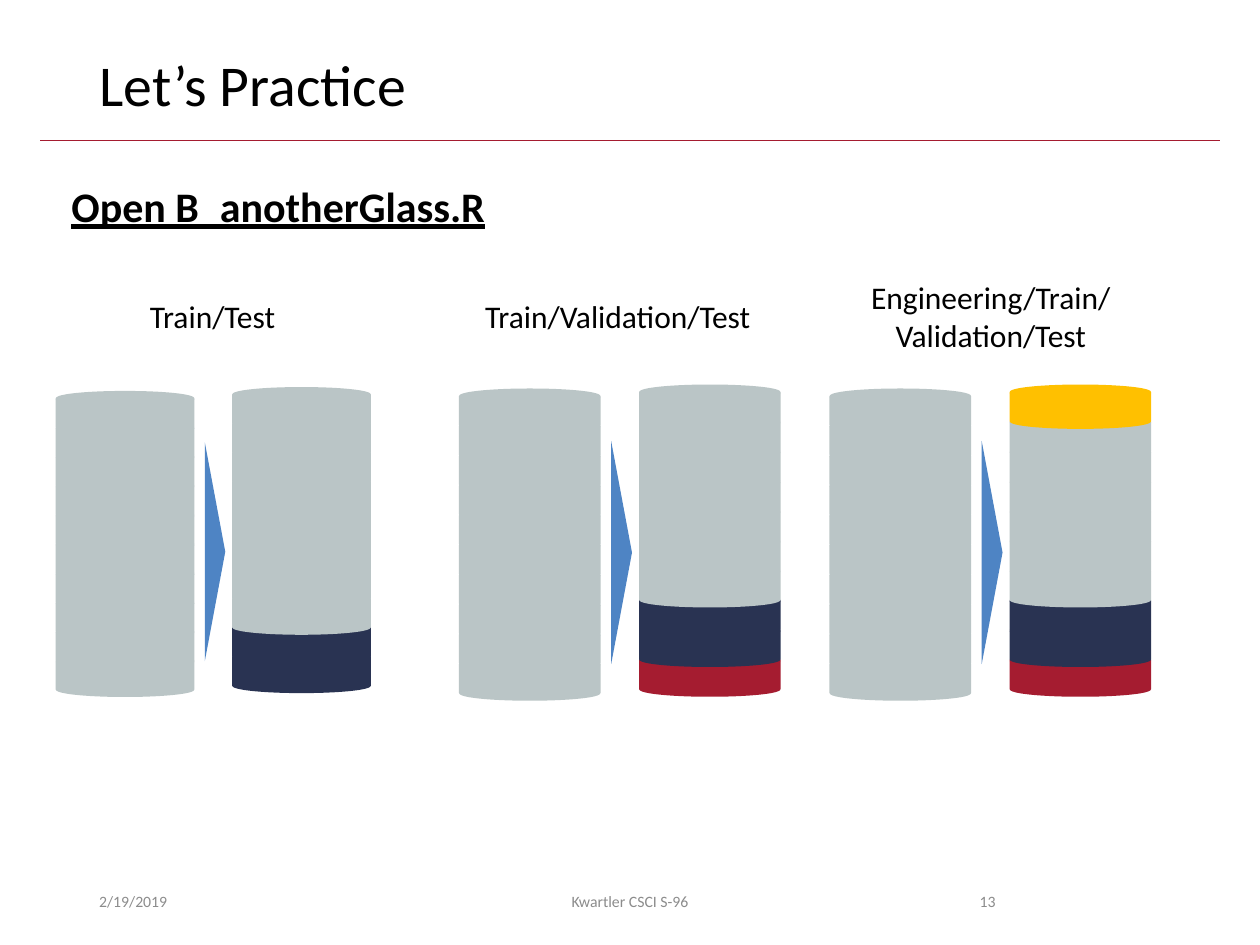
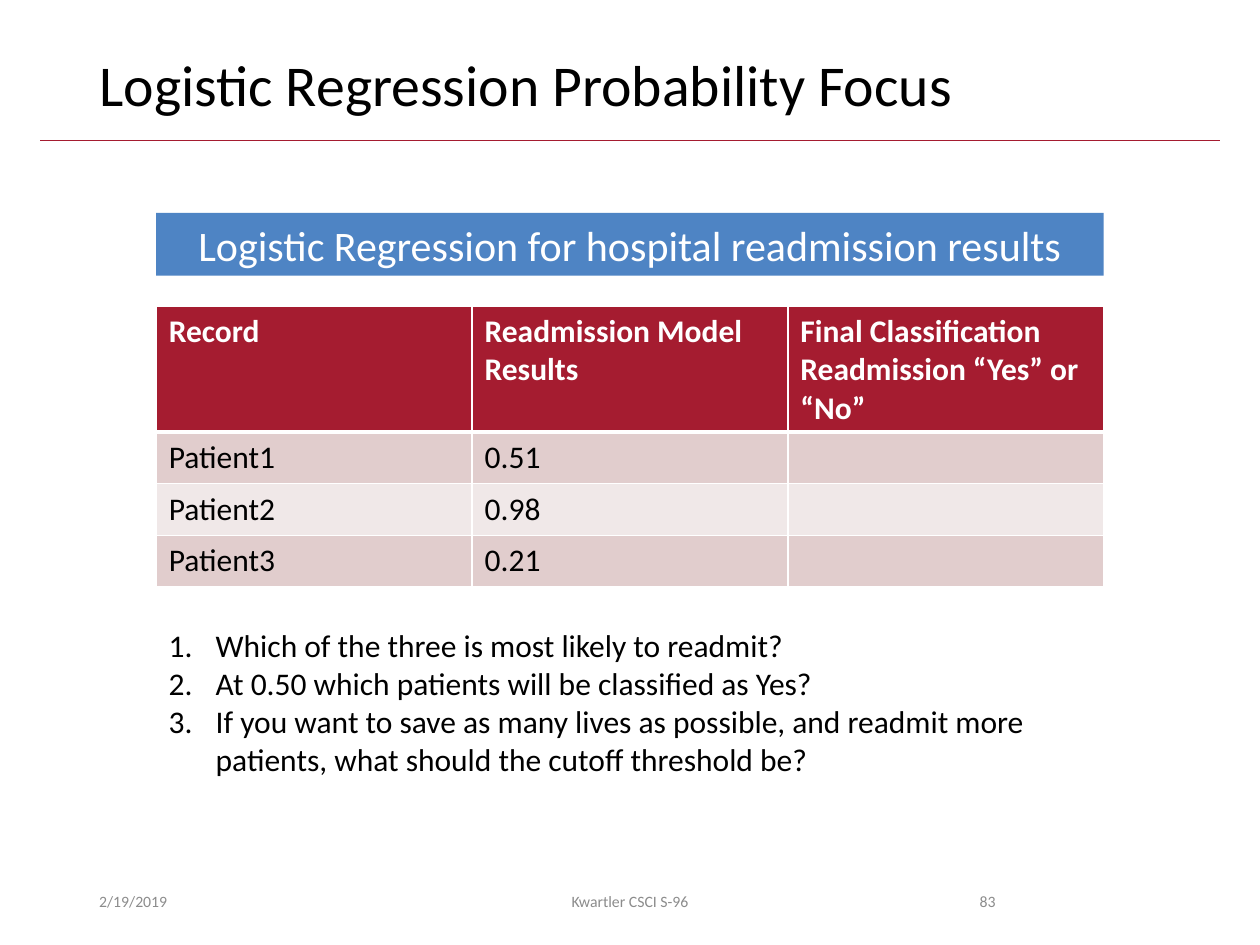
"""Builds two course slides: data partitioning schemes and logistic regression results."""
from lxml.etree import SubElement
from pptx import Presentation
from pptx.dml.color import RGBColor
from pptx.enum.shapes import MSO_CONNECTOR, MSO_SHAPE
from pptx.enum.text import MSO_ANCHOR, MSO_AUTO_SIZE, PP_ALIGN
from pptx.oxml.ns import qn
from pptx.util import Cm, Pt

COLORS = {
    "crimson": "A51C30",
    "navy": "293352",
    "silver": "BAC5C6",
    "gold": "FFC000",
    "blue": "4E84C4",
    "black": "000000",
    "white": "FFFFFF",
    "gray": "8C8C8C",
    "band_dark": "E1CDCD",
    "band_light": "F0E8E8",
}
FONT = "Calibri"
TITLE_ONLY = 5
DATE = "2/19/2019"
COURSE = "Kwartler CSCI S-96"
DISK_WIDTH, DISK_HEIGHT, DISK_STEP = 2.82, 0.86, 0.6
SPLIT_OFFSET, WHOLE_DROP = 3.63, 0.08
ARROW_X, ARROW_Y, ARROW_LENGTH, ARROW_DEPTH = 3.26, 3.37, 4.5, 0.42
CONTENT_LEFT, CONTENT_WIDTH = 3.15, 19.1


def rgb(name):
    return RGBColor.from_string(COLORS[name])


def add_span(para, text, size, color="black", bold=None, underline=None):
    span = para.add_run()
    span.text = text
    font = span.font
    font.name, font.size, font.bold, font.underline = FONT, Pt(size), bold, underline
    font.color.rgb = rgb(color)


def write_lines(frame, lines, size, color="black", align=None, **style):
    for index, line in enumerate(lines):
        para = frame.add_paragraph() if index else frame.paragraphs[0]
        if align is not None:
            para.alignment = align
        add_span(para, line, size, color, **style)


def add_text(page, area, lines, size, wrap=True, anchor=MSO_ANCHOR.TOP, **style):
    box = page.shapes.add_textbox(*map(Cm, area))
    frame = box.text_frame
    frame.word_wrap = wrap
    frame.vertical_anchor = anchor
    write_lines(frame, lines, size, **style)
    return box


def add_filled(shapes, kind, area, color, outlined=False):
    shape = shapes.add_shape(kind, *map(Cm, area))
    shape.shadow.inherit = False
    shape.fill.solid()
    shape.fill.fore_color.rgb = rgb(color)
    if outlined:
        shape.line.color.rgb = rgb(color)
        shape.line.width = Pt(1)
    else:
        shape.line.fill.background()
    return shape


def add_rule(page):
    rule = page.shapes.add_connector(
        MSO_CONNECTOR.STRAIGHT, Cm(0.81), Cm(2.84), Cm(24.59), Cm(2.84))
    rule.line.color.rgb = rgb("crimson")
    rule.line.width = Pt(0.5)
    SubElement(rule._element.spPr, qn("a:effectLst"))


def add_page(deck, title, number):
    page = deck.slides.add_slide(deck.slide_layouts[TITLE_ONLY])
    heading = page.shapes.title
    heading.left, heading.top, heading.width, heading.height = map(
        Cm, (1.75, 1.02, 21.9, 1.65))
    frame = heading.text_frame
    frame.auto_size = MSO_AUTO_SIZE.NONE
    frame.vertical_anchor = MSO_ANCHOR.TOP
    write_lines(frame, [title], 33, align=PP_ALIGN.LEFT)
    frame.paragraphs[0].line_spacing = 0.9
    add_rule(page)
    footers = (
        (DATE, 1.75, 5.72, PP_ALIGN.LEFT),
        (COURSE, 8.41, 8.58, PP_ALIGN.CENTER),
        (number, 17.93, 2.39, PP_ALIGN.RIGHT),
    )
    for text, left, width, align in footers:
        add_text(page, (left, 17.65, width, 1.02), [text], 9,
                 anchor=MSO_ANCHOR.MIDDLE, color="gray", align=align)
    return page


def add_stack(shapes, left, top, scale, colors):
    """Piles disks from the bottom up, with colors listed from the top."""
    for level, color in reversed(list(enumerate(colors))):
        area = (left, top + level * DISK_STEP * scale,
                DISK_WIDTH * scale, DISK_HEIGHT * scale)
        add_filled(shapes, MSO_SHAPE.FLOWCHART_MAGNETIC_DISK, area, color, outlined=True)


def add_partition(page, left, top, scale, split):
    shapes = page.shapes.add_group_shape().shapes
    add_stack(shapes, left, top + WHOLE_DROP * scale, scale, ["silver"] * len(split))
    length, depth = ARROW_LENGTH * scale, ARROW_DEPTH * scale
    area = (left + ARROW_X * scale - length / 2,
            top + ARROW_Y * scale - depth / 2, length, depth)
    arrow = add_filled(shapes, MSO_SHAPE.ISOSCELES_TRIANGLE, area, "blue")
    arrow.rotation = 90
    add_stack(shapes, left + SPLIT_OFFSET * scale, top, scale, split)


def set_borders(cell, top, bottom):
    properties = cell._tc.get_or_add_tcPr()
    for side, points in (("L", 1), ("R", 1), ("T", top), ("B", bottom)):
        border = SubElement(properties, qn(f"a:ln{side}"), w=str(Pt(points)))
        fill = SubElement(border, qn("a:solidFill"))
        SubElement(fill, qn("a:srgbClr"), val=COLORS["white"])


def add_results_table(page, rows):
    row_height = 1.04
    frame = page.shapes.add_table(
        len(rows), len(rows[0]), Cm(CONTENT_LEFT), Cm(6.17),
        Cm(CONTENT_WIDTH), Cm(row_height * len(rows)))
    for r, row in enumerate(rows):
        header = r == 0
        fill = "crimson" if header else ("band_light", "band_dark")[r % 2]
        for c, lines in enumerate(row):
            cell = frame.table.cell(r, c)
            set_borders(cell, 3 if r == 1 else 1, 3 if header else 1)
            cell.fill.solid()
            cell.fill.fore_color.rgb = rgb(fill)
            write_lines(cell.text_frame, lines, 18,
                        "white" if header else "black", bold=header)


def add_numbered_list(page, area, lines):
    box = add_text(page, area, lines, 18)
    for para in box.text_frame.paragraphs:
        properties = para._p.get_or_add_pPr()
        properties.set("marL", str(Cm(0.95)))
        properties.set("indent", str(-Cm(0.95)))
        SubElement(properties, qn("a:buFont"), typeface="+mj-lt")
        SubElement(properties, qn("a:buAutoNum"), type="arabicPeriod")


def build_practice(deck):
    page = add_page(deck, "Let’s Practice", "13")
    train_test = ["silver"] * 8 + ["navy"] * 2
    validation = ["silver"] * 7 + ["navy"] * 2 + ["crimson"]
    engineering = ["gold"] + validation[1:]
    add_partition(page, 1.14, 7.82, 0.98, train_test)
    add_partition(page, 16.74, 7.77, 1, engineering)
    add_partition(page, 9.27, 7.77, 1, validation)
    add_text(page, (2.77, 5.87, 3.07, 1.02), ["Train/Test"], 18, wrap=False)
    add_text(page, (9.53, 5.87, 5.92, 1.02), ["Train/Validation/Test"], 18, wrap=False)
    add_text(page, (17.27, 5.49, 5.41, 1.8), ["Engineering/Train/", "Validation/Test"],
             18, wrap=False, align=PP_ALIGN.CENTER)
    add_text(page, (1.19, 3.51, 8.94, 1.27), ["Open B_anotherGlass.R"], 24,
             wrap=False, bold=True, underline=True)


def build_probability(deck):
    page = add_page(deck, "Logistic Regression Probability Focus", "83")
    banner = add_filled(page.shapes, MSO_SHAPE.RECTANGLE,
                        (CONTENT_LEFT, 4.29, CONTENT_WIDTH, 1.27), "blue")
    banner.text_frame.word_wrap = True
    write_lines(banner.text_frame, ["Logistic Regression for hospital readmission results"],
                24, "white", PP_ALIGN.CENTER)
    add_results_table(page, [
        (["Record"], ["Readmission Model Results"],
         ["Final Classification", "Readmission “Yes” or “No”"]),
        (["Patient1"], ["0.51"], []),
        (["Patient2"], ["0.98"], []),
        (["Patient3"], ["0.21"], []),
    ])
    add_numbered_list(page, (CONTENT_LEFT, 12.5, CONTENT_WIDTH, 3.33), [
        "Which of the three is most likely to readmit?",
        "At 0.50 which patients will be classified as Yes?",
        "If you want to save as many lives as possible, and readmit more patients, "
        "what should the cutoff threshold be?",
    ])


def main():
    deck = Presentation()
    deck.slide_width, deck.slide_height = Cm(25.4), Cm(19.05)
    build_practice(deck)
    build_probability(deck)
    deck.save("out.pptx")


if __name__ == "__main__":
    main()
